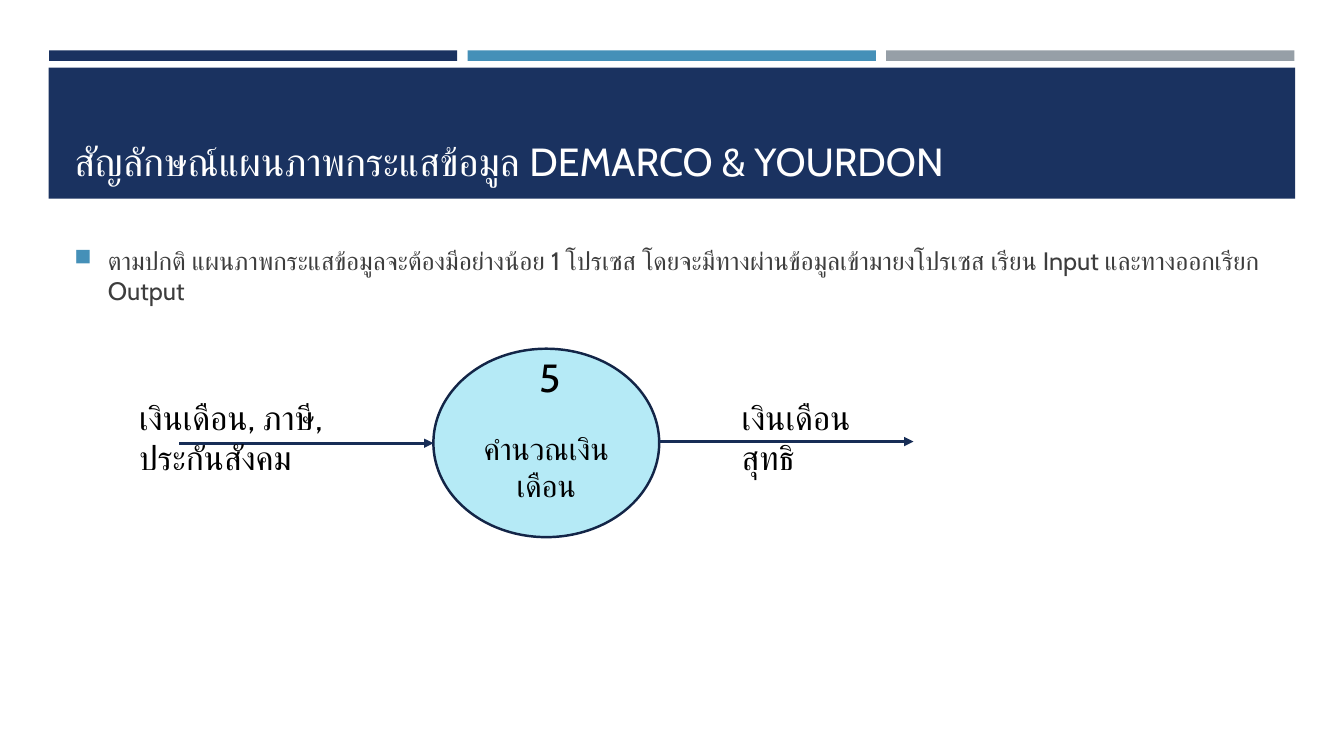
from lxml import etree
from pptx import Presentation
from pptx.dml.color import RGBColor
from pptx.enum.shapes import MSO_CONNECTOR, MSO_SHAPE
from pptx.enum.text import MSO_ANCHOR, MSO_AUTO_SIZE, PP_ALIGN
from pptx.oxml.ns import qn
from pptx.util import Pt

FONT = "Cabin"
NAVY = RGBColor(0x1A, 0x32, 0x60)
BLUE = RGBColor(0x45, 0x90, 0xB8)
GRAY = RGBColor(0x96, 0x9F, 0xA7)
WHITE = RGBColor(0xFF, 0xFF, 0xFF)
BLACK = RGBColor(0x00, 0x00, 0x00)
BODY_INK = RGBColor(0x3D, 0x3D, 0x3D)
PROCESS_FILL = RGBColor(0xB5, 0xEA, 0xF6)
PROCESS_EDGE = RGBColor(0x13, 0x25, 0x47)
FLOW_LINE = RGBColor(0x17, 0x2D, 0x56)


def set_text(shape, text, size, color, frame_format=None, paragraph_format=None):
    frame = shape.text_frame
    formats = {"word_wrap": True, "auto_size": MSO_AUTO_SIZE.NONE, **(frame_format or {})}
    for key, value in formats.items():
        setattr(frame, key, value)
    frame.text = text
    paragraph = frame.paragraphs[0]
    for key, value in {"alignment": PP_ALIGN.LEFT, **(paragraph_format or {})}.items():
        setattr(paragraph, key, value)
    font = paragraph.runs[0].font
    font.name, font.size = FONT, Pt(size)
    font.color.rgb = color
    return paragraph


def add_label(shapes, box, text, size, color, **paragraph_format):
    label = shapes.add_textbox(*map(Pt, box))
    return set_text(label, text, size, color, paragraph_format=paragraph_format)


def add_filled(shapes, kind, box, fill):
    shape = shapes.add_shape(kind, *map(Pt, box))
    shape.shadow.inherit = False
    shape.fill.solid()
    shape.fill.fore_color.rgb = fill
    shape.line.fill.background()
    return shape


def add_bullet(paragraph, indent):
    props = paragraph._p.get_or_add_pPr()
    props.set("marL", str(Pt(indent)))
    props.set("indent", str(-Pt(indent)))
    color = etree.SubElement(props, qn("a:buClr"))
    etree.SubElement(color, qn("a:srgbClr"), val=str(BLUE))
    etree.SubElement(props, qn("a:buSzPct"), val="92000")
    etree.SubElement(props, qn("a:buChar"), char="■")


def add_flow(shapes, left, y, length):
    flow = shapes.add_connector(MSO_CONNECTOR.STRAIGHT, Pt(left), Pt(y), Pt(left + length), Pt(y))
    flow.line.color.rgb = FLOW_LINE
    flow.line.width = Pt(2.25)
    etree.SubElement(flow.line._get_or_add_ln(), qn("a:tailEnd"), type="triangle")
    etree.SubElement(flow._element.spPr, qn("a:effectLst"))


def add_process(shapes, box, number, name):
    group = shapes.add_group_shape()
    process = add_filled(group.shapes, MSO_SHAPE.OVAL, box, PROCESS_FILL)
    process.line.color.rgb = PROCESS_EDGE
    process.line.width = Pt(1.75)
    # The top margin leaves room for the process number
    set_text(process, name, 22, BLACK,
             {"vertical_anchor": MSO_ANCHOR.MIDDLE, "margin_top": Pt(34), "margin_bottom": 0},
             {"alignment": PP_ALIGN.CENTER})
    add_label(group.shapes, (378, box[1], 30, 41), number, 28, BLACK)


def main():
    deck = Presentation()
    deck.slide_width, deck.slide_height = Pt(960), Pt(540)
    slide = deck.slides.add_slide(deck.slide_layouts[5])
    shapes = slide.shapes

    # Bars and heading band
    for column, color in enumerate((NAVY, BLUE, GRAY)):
        add_filled(shapes, MSO_SHAPE.RECTANGLE, (35 + 299 * column, 36, 291.6, 7.5), color)
    add_filled(shapes, MSO_SHAPE.RECTANGLE, (34.8, 48.4, 890.4, 93.6), NAVY)

    # Title, in front of the band
    title = shapes.title
    title.left, title.top, title.width, title.height = map(Pt, (46, 55.4, 868.4, 80))
    set_text(title, "สัญลักษณ์แผนภาพกระแสข้อมูล DEMARCO & YOURDON", 28, WHITE,
             {"vertical_anchor": MSO_ANCHOR.BOTTOM})
    shapes._spTree.append(title._element)

    # Explanation
    explanation = add_label(
        shapes, (46, 171.4, 868.4, 289.4),
        "ตามปกติ แผนภาพกระแสข้อมูลจะต้องมีอย่างน้อย 1 โปรเซส โดยจะมีทางผ่านข้อมูลเข้ามายงโปรเซส "
        "เรียน Input และทางออกเรียก Output", 18, BODY_INK, space_after=Pt(6))
    add_bullet(explanation, 24)

    # Process with its input and output flows
    add_process(shapes, (309.6, 249.1, 161.3, 134.6), "5", "คำนวณเงินเดือน")
    add_flow(shapes, 128, 316.6, 181.6)
    add_flow(shapes, 470.9, 315.4, 181.6)
    add_label(shapes, (92.2, 280, 205.2, 36), "เงินเดือน, ภาษี, ประกันสังคม", 24, BLACK)
    add_label(shapes, (522.7, 280, 101.5, 36), "เงินเดือนสุทธิ", 24, BLACK)

    deck.save("out.pptx")


if __name__ == "__main__":
    main()
